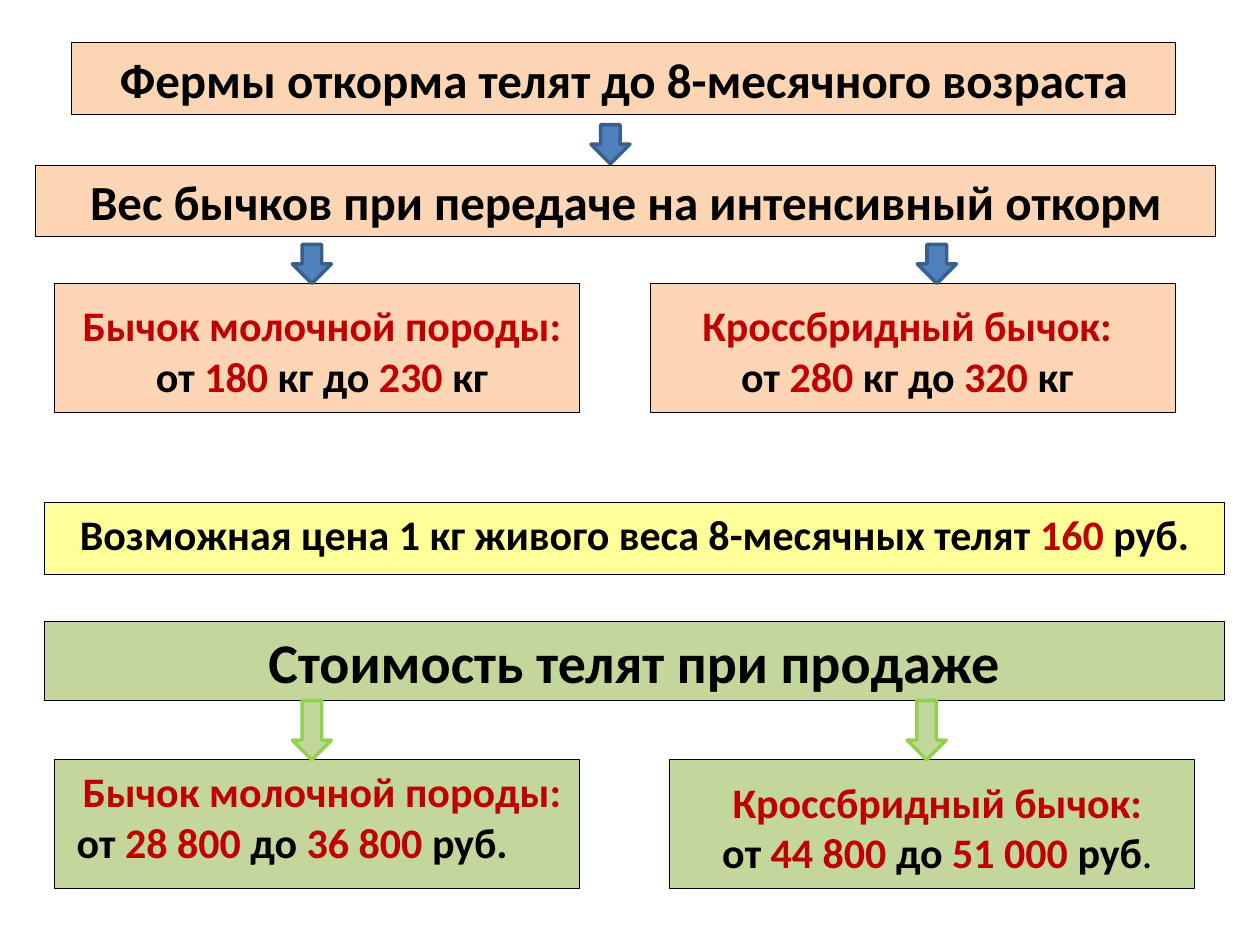
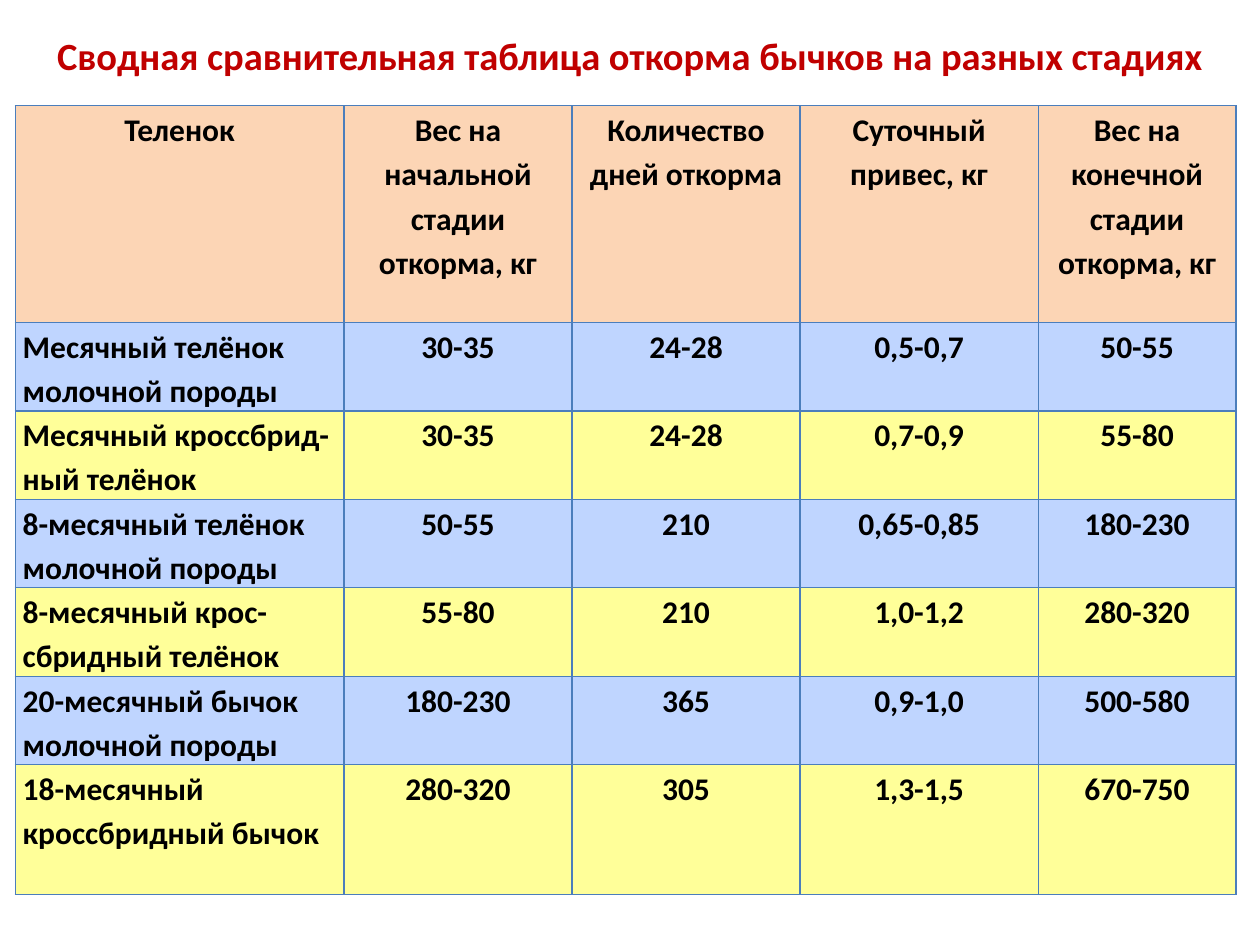
from dataclasses import dataclass

from lxml.etree import SubElement
from pptx import Presentation
from pptx.dml.color import RGBColor
from pptx.enum.shapes import MSO_SHAPE
from pptx.enum.text import MSO_ANCHOR, MSO_AUTO_SIZE, PP_ALIGN
from pptx.oxml.ns import qn
from pptx.util import Inches, Pt


@dataclass(frozen=True)
class Theme:
    font: str = "Calibri"
    ink: str = "000000"
    accent: str = "C00000"
    peach: str = "FCD5B5"
    yellow: str = "FFFF99"
    green: str = "C3D69B"
    lime: str = "92D050"
    blue: str = "4F81BD"
    navy: str = "3A5F8C"
    sky: str = "BFD5FF"
    grid: str = "4B7EBC"
    total: int = 32
    band: int = 28
    body: int = 24
    heading: int = 22
    cell: int = 18


T = Theme()

HEADER = ["Теленок", "Вес на начальной стадии откорма, кг",
          "Количество дней откорма", "Суточный привес, кг",
          "Вес на конечной стадии откорма, кг"]
STAGES = [
    ["Месячный телёнок молочной породы", "30-35", "24-28", "0,5-0,7", "50-55"],
    ["Месячный кроссбрид-ный телёнок", "30-35", "24-28", "0,7-0,9", "55-80"],
    ["8-месячный телёнок молочной породы", "50-55", "210", "0,65-0,85", "180-230"],
    ["8-месячный крос-сбридный телёнок", "55-80", "210", "1,0-1,2", "280-320"],
    ["20-месячный бычок молочной породы", "180-230", "365", "0,9-1,0", "500-580"],
    ["18-месячный кроссбридный бычок", "280-320", "305", "1,3-1,5", "670-750"],
]
COL_WIDTHS = [2.61, 1.81, 1.81, 1.89, 1.57]
ROW_HEIGHTS = [1.72] + [0.69] * 5 + [1.03]


def rgb(value):
    return RGBColor.from_string(value)


def style(r, size, color=T.ink, bold=True):
    r.font.name = T.font
    r.font.size = Pt(size)
    r.font.bold = bold
    r.font.color.rgb = rgb(color)


def write(p, text, size, align=PP_ALIGN.CENTER):
    """Text between asterisks takes the accent colour."""
    p.alignment = align
    for i, part in enumerate(text.split("*")):
        if part:
            r = p.add_run()
            r.text = part
            style(r, size, T.accent if i % 2 else T.ink)


def place(sp, x, y, w, h):
    sp.left, sp.top, sp.width, sp.height = map(Inches, (x, y, w, h))


def paint(sp, fill, line, weight):
    sp.fill.solid()
    sp.fill.fore_color.rgb = rgb(fill)
    sp.line.color.rgb = rgb(line)
    sp.line.width = Pt(weight)


def title(s, text, size, x, y, w, h, anchor):
    sp = s.shapes.title
    place(sp, x, y, w, h)
    tf = sp.text_frame
    tf.auto_size = MSO_AUTO_SIZE.NONE
    tf.vertical_anchor = anchor
    write(tf.paragraphs[0], text, size)
    return sp


def shape(s, kind, x, y, w, h, fill, line=T.ink, weight=0.5):
    sp = s.shapes.add_shape(kind, *map(Inches, (x, y, w, h)))
    sp.shadow.inherit = False
    paint(sp, fill, line, weight)
    return sp


def band(s, text, size, x, y, h, fill):
    tf = shape(s, MSO_SHAPE.RECTANGLE, x, y, 9.37, h, fill).text_frame
    tf.word_wrap = True
    tf.vertical_anchor = MSO_ANCHOR.TOP
    write(tf.paragraphs[0], text, size)


def arrow(s, x, y, h, fill, line):
    shape(s, MSO_SHAPE.DOWN_ARROW, x, y, 0.31, h, fill, line, 2)


def card(s, x, y, fill, name, amount, text_box, align=PP_ALIGN.CENTER):
    shape(s, MSO_SHAPE.RECTANGLE, x, y, 4.17, 1.02, fill)
    text_x, text_y, text_w = text_box
    tb = s.shapes.add_textbox(*map(Inches, (text_x, text_y, text_w, 0.91)))
    tf = tb.text_frame
    tf.word_wrap = True
    write(tf.paragraphs[0], f"*{name}:*", T.body)
    write(tf.add_paragraph(), amount, T.body, align)
    return tf


def border(cell):
    tc_pr = cell._tc.get_or_add_tcPr()
    for i, side in enumerate(("lnL", "lnR", "lnT", "lnB")):
        ln = tc_pr.makeelement(qn(f"a:{side}"), {"w": str(Pt(0.75))})
        tc_pr.insert(i, ln)
        fill = SubElement(ln, qn("a:solidFill"))
        SubElement(fill, qn("a:srgbClr"), val=T.grid)


def fill_cell(cell, text, fill, align):
    cell.margin_left = cell.margin_right = Inches(0.06)
    cell.margin_top = cell.margin_bottom = 0
    cell.fill.solid()
    cell.fill.fore_color.rgb = rgb(fill)
    p = cell.text_frame.paragraphs[0]
    p.line_spacing = 1.15
    write(p, text, T.cell, align)
    border(cell)


def stage_table(s, x, y):
    rows = [HEADER] + STAGES
    frame = s.shapes.add_table(len(rows), len(HEADER), Inches(x), Inches(y),
                               Inches(sum(COL_WIDTHS)), Inches(sum(ROW_HEIGHTS)))
    table = frame.table
    for col, width in zip(table.columns, COL_WIDTHS):
        col.width = Inches(width)
    for i, (row, height) in enumerate(zip(rows, ROW_HEIGHTS)):
        table.rows[i].height = Inches(height)
        fill = T.peach if i == 0 else (T.yellow, T.sky)[i % 2]
        for j, text in enumerate(row):
            align = PP_ALIGN.LEFT if i and j == 0 else PP_ALIGN.CENTER
            fill_cell(table.cell(i, j), text, fill, align)


def weight_slide(s):
    sp = title(s, "Фермы откорма телят до 8-месячного возраста", T.band,
               0.57, 0.34, 8.76, 0.57, MSO_ANCHOR.TOP)
    paint(sp, T.peach, T.ink, 0.5)
    band(s, "Вес бычков при передаче на интенсивный откорм", T.band,
         0.28, 1.31, 0.57, T.peach)
    dairy, cross = "Бычок молочной породы", "Кроссбридный бычок"
    card(s, 0.43, 2.25, T.peach, dairy, "от *180* кг до *230* кг", (0.51, 2.33, 4.09))
    card(s, 5.16, 2.25, T.peach, cross, "от *280* кг до *320* кг", (5.31, 2.33, 3.78))
    for x, y in ((4.69, 0.99), (2.32, 1.94), (7.28, 1.94)):
        arrow(s, x, y, 0.31, T.blue, T.navy)

    band(s, "Возможная цена 1 кг живого веса 8-месячных телят *160* руб.", T.body,
         0.35, 3.99, 0.57, T.yellow)
    band(s, "Стоимость телят при продаже", T.total, 0.35, 4.93, 0.63, T.green)
    card(s, 0.43, 6.03, T.green, dairy, "от *28 800* до *36 800* руб.",
         (0.51, 6.03, 4.09), PP_ALIGN.LEFT)
    tf = card(s, 5.31, 6.03, T.green, cross, "от *44 800* до *51 000* руб",
              (5.47, 6.11, 3.94))
    full_stop = tf.paragraphs[-1].add_run()
    full_stop.text = "."
    style(full_stop, T.body, bold=False)
    for x in (2.32, 7.2):
        arrow(s, x, 5.56, 0.47, T.green, T.lime)


def summary_slide(s):
    title(s, "*Сводная сравнительная таблица откорма бычков на разных стадиях*",
          T.heading, 0, 0.2, 10, 0.47, MSO_ANCHOR.MIDDLE)
    stage_table(s, 0.12, 0.84)


def main():
    prs = Presentation()
    prs.slide_width, prs.slide_height = Inches(10), Inches(7.5)
    title_only = prs.slide_layouts[5]
    for build in (weight_slide, summary_slide):
        build(prs.slides.add_slide(title_only))
    prs.save("out.pptx")


if __name__ == "__main__":
    main()
